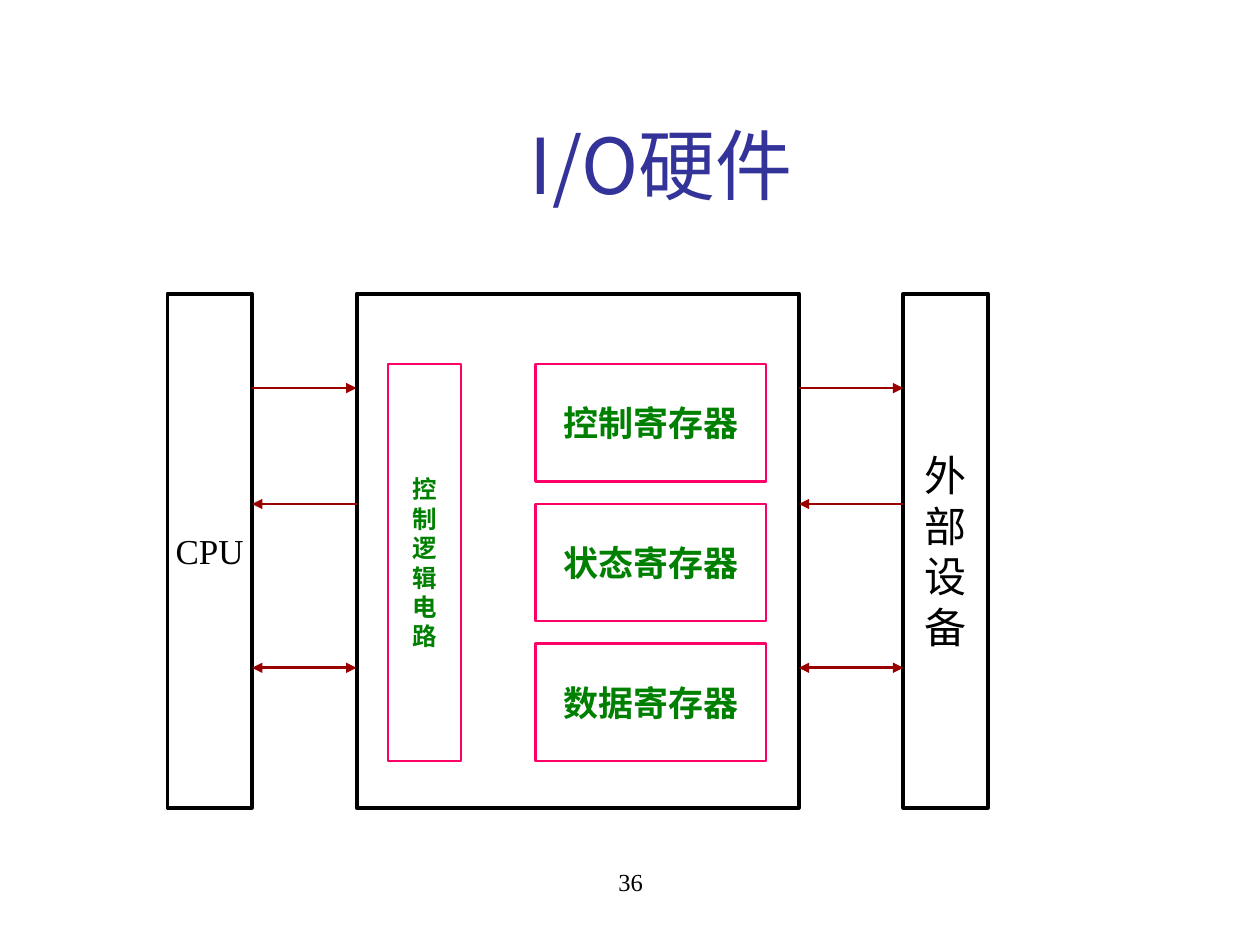
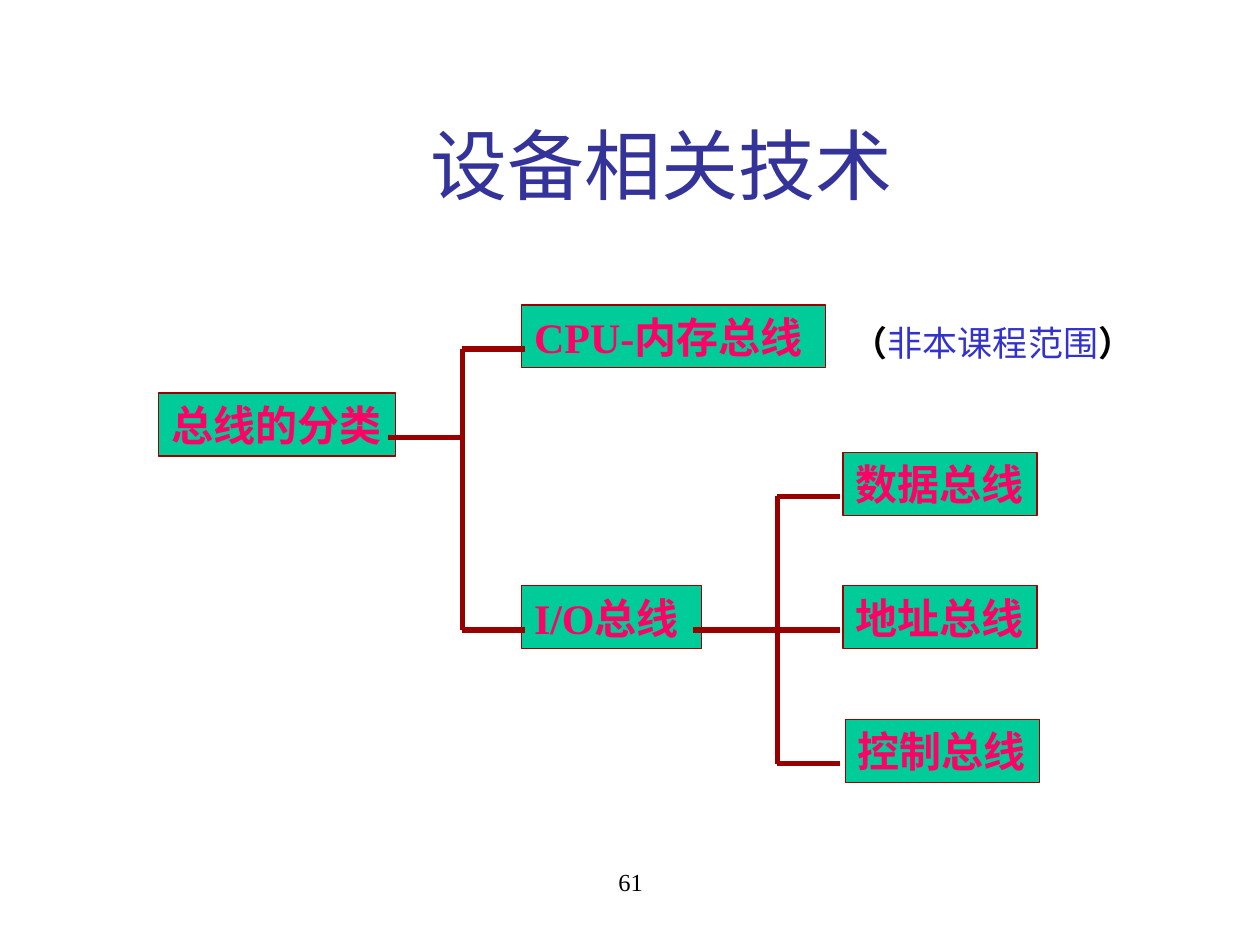
import pptx
import pptx.dml.color
import pptx.enum.shapes
import pptx.enum.text
import pptx.oxml.ns
import pptx.util
from lxml import etree
from pptx.util import Inches

SERIF = "Times New Roman"
CJK = "Noto Sans CJK SC"
BLACK, INDIGO, BLUE = "000000", "333399", "3333CC"
DARK_RED, PINK, GREEN, TEAL = "990000", "FF0066", "008000", "00CC99"
TITLE_BOX = (1, 0.67, 8.5, 1.25)
NUMBER_BOX = (3.42, 6.83, 3.17, 0.5)
CENTER = pptx.enum.text.PP_ALIGN.CENTER
MIDDLE = pptx.enum.text.MSO_ANCHOR.MIDDLE
GROW = pptx.enum.text.MSO_AUTO_SIZE.SHAPE_TO_FIT_TEXT


def rgb(value):
    return pptx.dml.color.RGBColor.from_string(value)


def add_run(paragraph, text, size, color, bold=False, font=SERIF):
    run = paragraph.add_run()
    run.text = text
    formats = {"name": font, "size": pptx.util.Pt(size), "bold": bold}
    for attribute, value in formats.items():
        setattr(run.font, attribute, value)
    run.font.color.rgb = rgb(color)
    east_asian = etree.SubElement(run.font._element, pptx.oxml.ns.qn("a:ea"))
    east_asian.set("typeface", CJK)


def write(shape, lines, align=None, **frame_formats):
    """Fill a shape with lines, each a list of add_run arguments."""
    frame = shape.text_frame
    for attribute, value in frame_formats.items():
        setattr(frame, attribute, value)
    for index, runs in enumerate(lines):
        paragraph = frame.add_paragraph() if index else frame.paragraphs[0]
        paragraph.alignment = align
        for run in runs:
            add_run(paragraph, *run)


def add_text(slide, box, lines, **formats):
    shape = slide.shapes.add_textbox(*map(Inches, box))
    write(shape, lines, **formats)


def add_box(slide, box, line, width, fill=None):
    shape = slide.shapes.add_shape(
        pptx.enum.shapes.MSO_SHAPE.RECTANGLE, *map(Inches, box))
    shape.shadow.inherit = False
    shape.line.color.rgb = rgb(line)
    shape.line.width = pptx.util.Pt(width)
    if fill:
        shape.fill.solid()
        shape.fill.fore_color.rgb = rgb(fill)
    else:
        shape.fill.background()
    return shape


def add_line(slide, start, end, width, arrows=()):
    """Draw a line; arrows names its ends to arm: headEnd, then tailEnd."""
    line = slide.shapes.add_connector(
        pptx.enum.shapes.MSO_CONNECTOR.STRAIGHT, *map(Inches, (*start, *end)))
    line.line.color.rgb = rgb(DARK_RED)
    line.line.width = pptx.util.Pt(width)
    outline = line.line._get_or_add_ln()
    for arrow in arrows:
        tip = etree.SubElement(outline, pptx.oxml.ns.qn("a:" + arrow))
        tip.set("type", "triangle")
    etree.SubElement(line._element.spPr, pptx.oxml.ns.qn("a:effectLst"))


def add_slide(deck, title, number):
    slide = deck.slides.add_slide(deck.slide_layouts[6])
    add_text(slide, NUMBER_BOX, [[(str(number), 14, BLACK)]],
             align=CENTER, word_wrap=True)
    add_text(slide, TITLE_BOX, [[(title, 44, INDIGO, False, CJK)]],
             align=CENTER, vertical_anchor=MIDDLE, word_wrap=True)
    return slide


def add_unit(slide, box, lines, size):
    unit = add_box(slide, box, BLACK, 2.25)
    write(unit, [[(line, size, BLACK)] for line in lines],
          CENTER, vertical_anchor=MIDDLE, word_wrap=False)


def add_circuit(slide, box, lines, size):
    circuit = add_box(slide, box, PINK, 1.5)
    write(circuit, [[(line, size, GREEN, True)] for line in lines],
          CENTER, vertical_anchor=MIDDLE, word_wrap=False)


def controller(slide, box):
    left, top = box[:2]
    add_unit(slide, box, [], 20)
    inner_top = top + 0.56
    add_circuit(slide, (left + 0.25, inner_top, 0.58, 3.15), "控制逻辑电路", 14)
    for row, register in enumerate(("控制寄存器", "状态寄存器", "数据寄存器")):
        add_circuit(slide, (left + 1.42, inner_top + row * 1.11, 1.83, 0.93),
                    [register], 20)


def hardware_diagram(slide, box):
    left, top, width, height = box
    unit_width, gap = 0.67, 0.83
    cpu_right = left + unit_width
    controller_left = cpu_right + gap
    device_left = left + width - unit_width
    controller_right = device_left - gap

    add_unit(slide, (left, top, unit_width, height), ["CPU"], 20)
    add_unit(slide, (device_left, top, unit_width, height), "外部设备", 24)
    controller(slide, (controller_left, top,
                       controller_right - controller_left, height))

    signals = ((0.75, ["tailEnd"]), (1.67, ["headEnd"]),
               (2.97, ["headEnd", "tailEnd"]))
    for start, end in ((cpu_right, controller_left),
                       (controller_right, device_left)):
        for drop, arrows in signals:
            add_line(slide, (start, top + drop), (end, top + drop), 1.5, arrows)


def add_bus(slide, left, level, width, name):
    """Place a label whose connecting line meets it at the given level."""
    bus = add_box(slide, (left, level - 0.35, width, 0.5), DARK_RED, 0.75, TEAL)
    write(bus, [[(name, 24, PINK, True)]], pptx.enum.text.PP_ALIGN.LEFT,
          vertical_anchor=pptx.enum.text.MSO_ANCHOR.TOP,
          word_wrap=False, auto_size=GROW)


def add_bracket(slide, root, trunk, tip, root_level, levels):
    add_line(slide, (root, root_level), (trunk, root_level), 3)
    add_line(slide, (trunk, levels[0]), (trunk, levels[-1]), 3)
    for level in levels:
        add_line(slide, (trunk, level), (tip, level), 3)


def bus_tree(slide, box):
    left, top = box[:2]
    root_level = top + 1.05
    kinds = (top + 0.35, top + 2.58)
    lines = [kinds[1] + step * 1.06 for step in (-1, 0, 1)]

    add_bus(slide, left, root_level, 1.88, "总线的分类")
    for level, width, name in zip(kinds, (2.41, 1.43), ("CPU-内存总线", "I/O总线")):
        add_bus(slide, left + 2.88, level, width, name)
    for level, shift, name in zip(lines, (0, 0, 0.02),
                                  ("数据总线", "地址总线", "控制总线")):
        add_bus(slide, left + 5.43 + shift, level, 1.54, name)

    add_bracket(slide, left + 1.82, left + 2.41, left + 2.91, root_level, kinds)
    add_bracket(slide, left + 4.24, left + 4.91, left + 5.41, kinds[1], lines)
    add_text(slide, (left + 5.41, top + 0.08, 2.46, 0.44),
             [[("（", 20, BLACK, True), ("非本课程范围", 20, BLUE),
               ("）", 20, BLACK, True)]],
             word_wrap=False, auto_size=GROW)


def main():
    deck = pptx.Presentation()
    deck.slide_width, deck.slide_height = Inches(10), Inches(7.5)
    hardware_diagram(add_slide(deck, "I/O硬件", 36), (1.33, 2.33, 6.51, 4.08))
    bus_tree(add_slide(deck, "设备相关技术", 61), (1.26, 2.42, 7.87, 3.79))
    deck.save("out.pptx")


if __name__ == "__main__":
    main()
